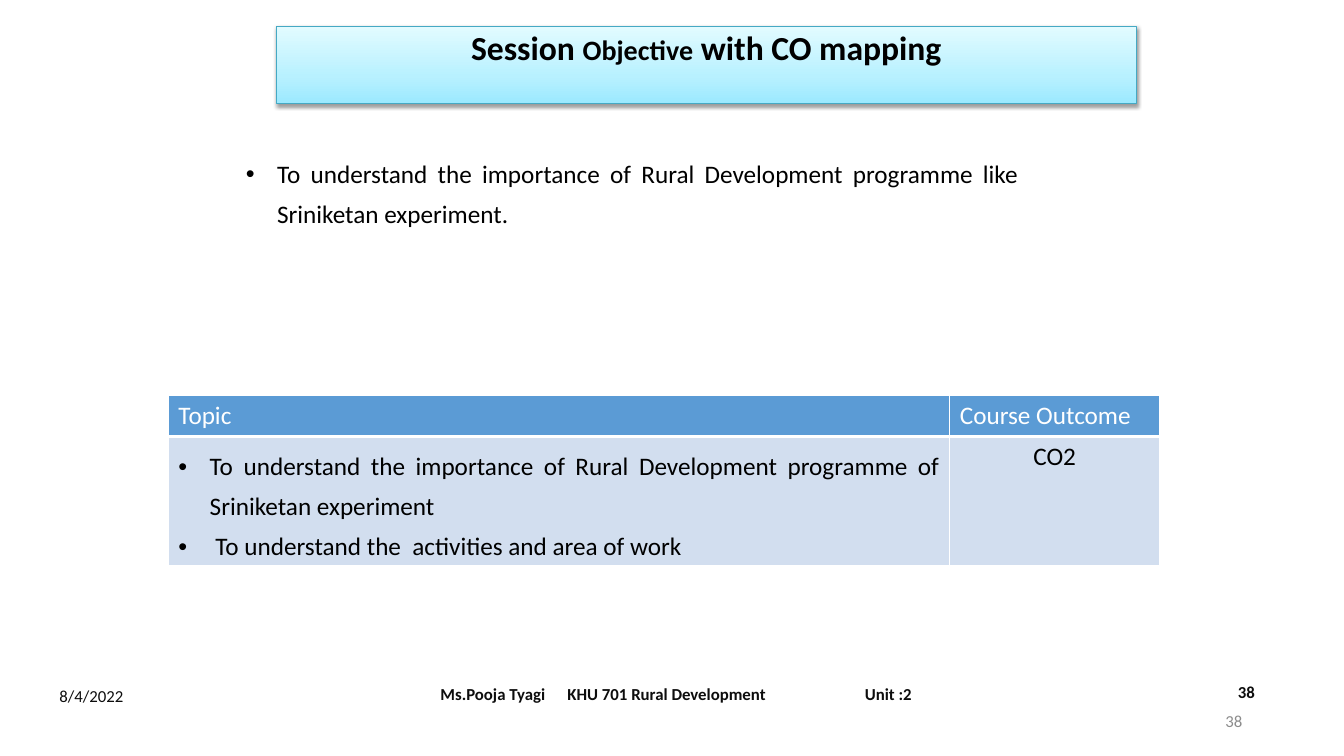
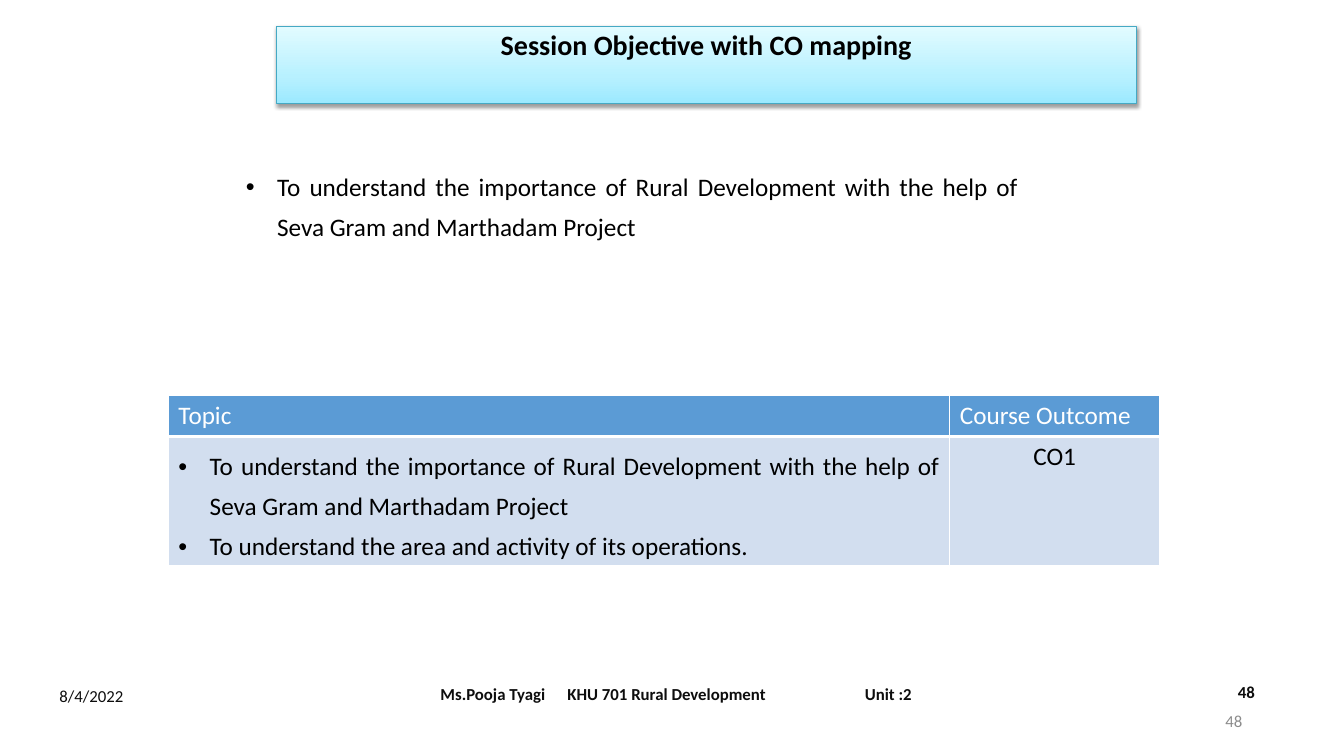
from dataclasses import dataclass

from lxml.etree import SubElement
from pptx import Presentation
from pptx.dml.color import RGBColor
from pptx.enum.text import MSO_ANCHOR, MSO_AUTO_SIZE, PP_ALIGN
from pptx.oxml import parse_xml
from pptx.oxml.ns import nsdecls, qn
from pptx.util import Inches, Pt


@dataclass(frozen=True)
class Theme:
    font: str = "Calibri"
    black: str = "000000"
    white: str = "FFFFFF"
    footer: str = "0D0D0D"
    muted: str = "8C8C8C"
    title_line: str = "45A9C4"
    title_stops: tuple = ((0, "9BE9FF"), (35, "B8F1FF"), (100, "E2FBFF"))
    header_fill: str = "5B9BD5"
    body_fill: str = "D2DEEF"
    title_large: int = 24
    title_small: int = 20
    body_size: int = 18
    footer_size: int = 12


THEME = Theme()
TITLE_BOX = (2.74, 0.26, 8.53, 0.77)
TABLE_BOX = (1.67, 3.92, 9.83, 1.68)
FOOTER_TABS = (1.26, 4.21)
FOOTER_TEXT = "Ms.Pooja Tyagi\tKHU 701 Rural Development\tUnit :2"
DATE_TEXT = "8/4/2022"

SESSIONS = (
    {
        "number": "38",
        "title": (("Session ", THEME.title_large), ("Objective", THEME.title_small),
                  (" with CO mapping", THEME.title_large)),
        "objective": "To understand the importance of Rural Development programme "
                     "like Sriniketan experiment.",
        "objective_box": (2.34, 1.43, 7.86, 0.89),
        "topics": ("To understand the importance of Rural Development programme of "
                   "Sriniketan experiment",
                   " To understand the  activities and area of work"),
        "outcome": "CO2",
    },
    {
        "number": "48",
        "title": (("Session Objective with CO mapping", THEME.title_small),),
        "objective": "To understand the importance of Rural Development with the help "
                     "of Seva Gram and Marthadam Project",
        "objective_box": (2.34, 1.56, 7.86, 0.86),
        "topics": ("To understand the importance of Rural Development with the help "
                   "of Seva Gram and Marthadam Project",
                   "To understand the area and activity of its operations."),
        "outcome": "CO1",
    },
)


def inches(box):
    return [Inches(length) for length in box]


def style_run(run, size, color, bold=False):
    run.font.name = THEME.font
    run.font.size = Pt(size)
    run.font.bold = bold
    run.font.color.rgb = RGBColor.from_string(color)


def write_lines(text_frame, lines, size, color, bold=False, align=PP_ALIGN.LEFT):
    text_frame.text = "\n".join(lines)
    for paragraph in text_frame.paragraphs:
        paragraph.alignment = align
        for run in paragraph.runs:
            style_run(run, size, color, bold)


def write_bullets(text_frame, lines):
    write_lines(text_frame, lines, THEME.body_size, THEME.black, align=PP_ALIGN.JUSTIFY)
    for paragraph in text_frame.paragraphs:
        paragraph.line_spacing = 1.31
        properties = paragraph._p.get_or_add_pPr()
        properties.set("marL", str(Inches(0.31)))
        properties.set("indent", str(-Inches(0.31)))
        SubElement(properties, qn("a:buFont"), typeface="Arial")
        SubElement(properties, qn("a:buChar"), char="•")


def add_text_box(slide, box, anchor=MSO_ANCHOR.TOP):
    text_frame = slide.shapes.add_textbox(*inches(box)).text_frame
    text_frame.word_wrap = True
    text_frame.vertical_anchor = anchor
    return text_frame


def fill_title_gradient(shape):
    shape.fill.gradient()
    shape.fill.gradient_angle = 90
    stop_list = shape._element.spPr.find(".//" + qn("a:gsLst"))
    for stop in list(stop_list):
        stop_list.remove(stop)
    for percent, color in THEME.title_stops:
        stop = SubElement(stop_list, qn("a:gs"), pos=str(percent * 1000))
        SubElement(stop, qn("a:srgbClr"), val=color)


def add_title_shadow(shape):
    shape._element.spPr.append(parse_xml(
        f'<a:effectLst {nsdecls("a")}>'
        f'<a:outerShdw blurRad="{Pt(3.1)}" dist="{Pt(1.6)}" dir="5400000" rotWithShape="0">'
        f'<a:srgbClr val="{THEME.black}"><a:alpha val="38000"/></a:srgbClr>'
        '</a:outerShdw></a:effectLst>'))


def format_title(slide, box, parts):
    title = slide.shapes.title
    title.left, title.top, title.width, title.height = inches(box)
    fill_title_gradient(title)
    title.line.color.rgb = RGBColor.from_string(THEME.title_line)
    title.line.width = Pt(0.75)
    add_title_shadow(title)
    text_frame = title.text_frame
    text_frame.auto_size = MSO_AUTO_SIZE.NONE
    text_frame.word_wrap = True
    text_frame.vertical_anchor = MSO_ANCHOR.TOP
    paragraph = text_frame.paragraphs[0]
    paragraph.alignment = PP_ALIGN.CENTER
    paragraph.line_spacing = 0.9
    for text, size in parts:
        run = paragraph.add_run()
        run.text = text
        style_run(run, size, THEME.black, bold=True)


def add_objective(slide, box, text):
    text_frame = add_text_box(slide, box)
    text_frame.auto_size = MSO_AUTO_SIZE.SHAPE_TO_FIT_TEXT
    write_bullets(text_frame, [text])


def style_cell(cell, fill, top=1, bottom=1):
    """Fill the cell and rule it in white; top and bottom are widths in points."""
    cell.fill.solid()
    cell.fill.fore_color.rgb = RGBColor.from_string(fill)
    properties = cell._tc.get_or_add_tcPr()
    edges = (("L", 1), ("R", 1), ("T", top), ("B", bottom))
    for position, (edge, width) in enumerate(edges):
        properties.insert(position, parse_xml(
            f'<a:ln{edge} {nsdecls("a")} w="{Pt(width)}"><a:solidFill>'
            f'<a:srgbClr val="{THEME.white}"/></a:solidFill></a:ln{edge}>'))


def add_outcome_table(slide, box, topics, outcome):
    left, top, width, height = inches(box)
    table = slide.shapes.add_table(2, 2, left, top, width, height).table
    outcome_width, header_height = Inches(2.08), Inches(0.41)
    table.columns[0].width = width - outcome_width
    table.columns[1].width = outcome_width
    table.rows[0].height = header_height
    table.rows[1].height = height - header_height
    for column, heading in enumerate(("Topic", "Course Outcome")):
        header, body = table.cell(0, column), table.cell(1, column)
        style_cell(header, THEME.header_fill, bottom=3)
        style_cell(body, THEME.body_fill, top=3)
        write_lines(header.text_frame, [heading], THEME.body_size, THEME.white)
    write_bullets(table.cell(1, 0).text_frame, topics)
    write_lines(table.cell(1, 1).text_frame, [outcome], THEME.body_size, THEME.black,
                align=PP_ALIGN.CENTER)


def add_footer(slide, number):
    size = THEME.footer_size
    course = add_text_box(slide, (4.27, 6.68, 5.38, 0.4), MSO_ANCHOR.MIDDLE)
    write_lines(course, [FOOTER_TEXT], size, THEME.footer, bold=True)
    tab_list = SubElement(course.paragraphs[0]._p.get_or_add_pPr(), qn("a:tabLst"))
    for position in FOOTER_TABS:
        SubElement(tab_list, qn("a:tab"), pos=str(Inches(position)), algn="l")

    date = add_text_box(slide, (0.49, 6.66, 2.37, 0.49), MSO_ANCHOR.MIDDLE)
    write_lines(date, [DATE_TEXT], size, THEME.footer)
    bold_number = add_text_box(slide, (12.18, 6.71, 1.15, 0.41))
    write_lines(bold_number, [number], size, THEME.footer, bold=True)
    muted_number = add_text_box(slide, (9.42, 6.95, 3, 0.4), MSO_ANCHOR.MIDDLE)
    write_lines(muted_number, [number], size, THEME.muted, align=PP_ALIGN.RIGHT)


def add_session_slide(presentation, session):
    slide = presentation.slides.add_slide(presentation.slide_layouts[5])
    format_title(slide, TITLE_BOX, session["title"])
    add_objective(slide, session["objective_box"], session["objective"])
    add_outcome_table(slide, TABLE_BOX, session["topics"], session["outcome"])
    add_footer(slide, session["number"])


def main():
    presentation = Presentation()
    presentation.slide_width = Inches(13.33)
    presentation.slide_height = Inches(7.5)
    for session in SESSIONS:
        add_session_slide(presentation, session)
    presentation.save("out.pptx")


if __name__ == "__main__":
    main()
